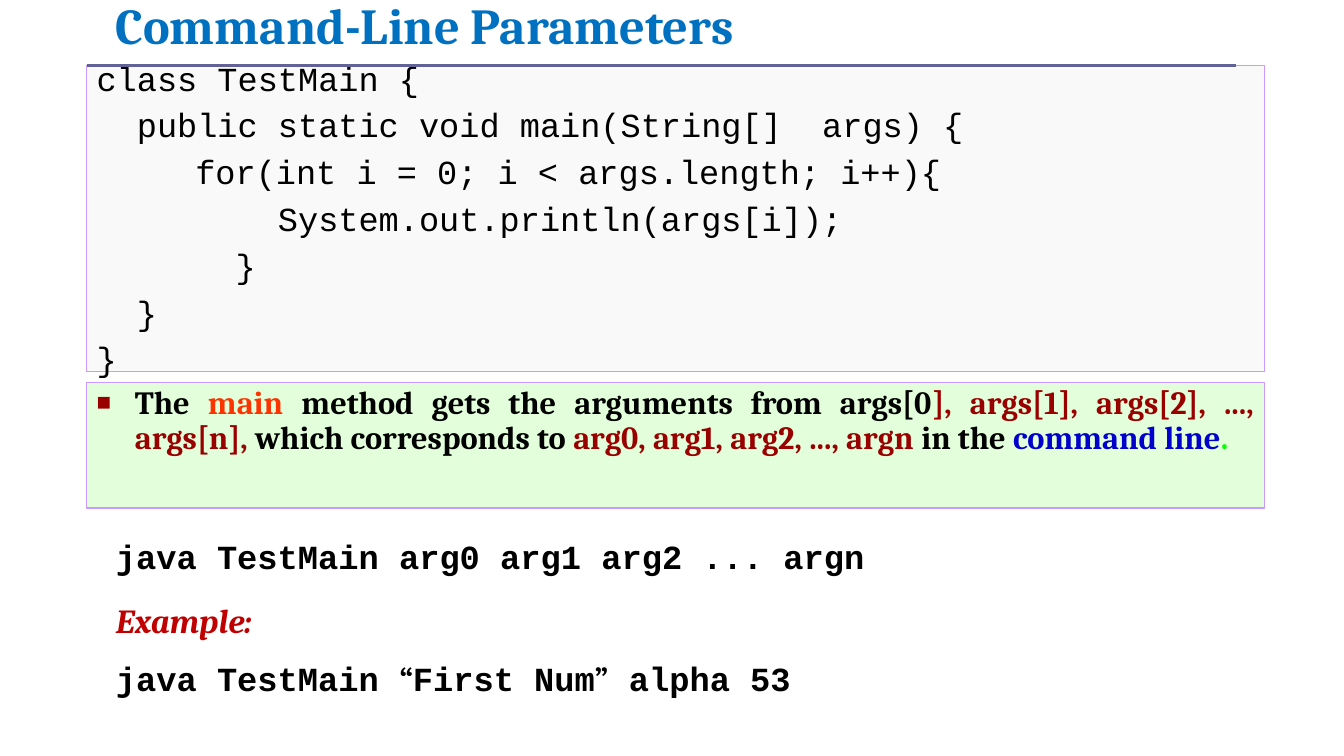
from dataclasses import dataclass
from lxml import etree
from pptx import Presentation
from pptx.dml.color import RGBColor
from pptx.enum.shapes import MSO_CONNECTOR, MSO_SHAPE
from pptx.enum.text import MSO_ANCHOR, MSO_AUTO_SIZE, PP_ALIGN
from pptx.oxml.ns import qn
from pptx.util import Emu, Pt

RECTANGLE = MSO_SHAPE.RECTANGLE
STRAIGHT = MSO_CONNECTOR.STRAIGHT
TOP, MIDDLE = MSO_ANCHOR.TOP, MSO_ANCHOR.MIDDLE
LEFT, JUSTIFY = PP_ALIGN.LEFT, PP_ALIGN.JUSTIFY
NO_AUTOFIT = MSO_AUTO_SIZE.NONE

PX = 9144  # 100 px to the inch
INDENT = 38
SERIF, MONO = "Cambria", "Courier New"
COLOURS = {
    "title": "0070C0", "black": "000000", "example": "C00000",
    "keyword": "FF3300", "argument": "990000", "command": "0000CC",
    "stop": "00FF00", "code_fill": "F2F2F2", "note_fill": "E2FEDA",
    "border": "CC99FF", "rule": "626297",
}


@dataclass(frozen=True)
class Span:
    text: str
    colour: str = "black"
    font: str = SERIF
    bold: bool = True
    italic: bool = False


@dataclass(frozen=True)
class Para:
    spans: tuple[Span, ...]
    size: float
    spacing: float
    before: float = 0
    indent: int = INDENT
    align: PP_ALIGN = LEFT
    bullet: str = ""


@dataclass(frozen=True)
class Box:
    left: int
    top: int
    width: int
    height: int
    paras: tuple[Para, ...]
    anchor: MSO_ANCHOR = TOP
    fill: str = ""
    opacity: int = 100


CODE = (
    "class TestMain {",
    "  public static void main(String[]  args) {",
    "\t   for(int i = 0; i < args.length; i++){",
    "         System.out.println(args[i]);",
    "     \t}",
    "  }",
    "}",
)

TITLE = Box(105, -8, 923, 76, (
    Para((Span("Command-Line Parameters", "title"),), 36, 0.8, indent=0),
), MIDDLE)

COMMANDS = Box(105, 531, 1151, 177, (
    Para((Span("java TestMain arg0 arg1 arg2 ... argn", font=MONO),), 24.1, 0.9),
    Para((Span("Example:", "example", italic=True),), 24.1, 1.0, 16.2),
    Para((
        Span("java TestMain ", font=MONO),
        Span("“"),
        Span("First Num", font=MONO),
        Span("”"),
        Span(" alpha 53", font=MONO),
    ), 24.1, 0.9, 16.2),
))

LISTING = Box(86, 65, 1169, 304, tuple(
    Para((Span(line, font=MONO, bold=False),), 24, 0.64, 15 if row else 0)
    for row, line in enumerate(CODE)
), fill="code_fill", opacity=42)

NOTE = Box(86, 379, 1169, 125, (
    Para((
        Span("The "),
        Span("main ", "keyword"),
        Span("method gets the arguments from args[0"),
        Span("], args[1], args[2], ..., args[n], ", "argument"),
        Span("which corresponds to "),
        Span("arg0, arg1, arg2, ..., argn ", "argument"),
        Span("in the "),
        Span("command line", "command"),
        Span(".", "stop"),
    ), 23.1, 0.9, align=JUSTIFY, bullet="■"),
), fill="note_fill")


def colour(name: str) -> RGBColor:
    return RGBColor.from_string(COLOURS[name])


def add_marks(paragraph, para: Para) -> None:
    """Set the hanging indent, the bullet and one tab stop per inch."""
    properties = paragraph._p.get_or_add_pPr()
    properties.set("marL", str(para.indent * PX))
    properties.set("indent", str(-para.indent * PX))
    if para.bullet:
        tint = etree.SubElement(properties, qn("a:buClr"))
        etree.SubElement(tint, qn("a:srgbClr"), val=COLOURS["argument"])
        etree.SubElement(properties, qn("a:buSzPct"), val="75000")
        etree.SubElement(properties, qn("a:buFont"), typeface="Arial")
        etree.SubElement(properties, qn("a:buChar"), char=para.bullet)
    else:
        etree.SubElement(properties, qn("a:buNone"))
    stops = etree.SubElement(properties, qn("a:tabLst"))
    for inch in range(8):
        etree.SubElement(stops, qn("a:tab"), pos=str(inch * 100 * PX), algn="l")


def write_paras(shape, box: Box) -> None:
    frame = shape.text_frame
    frame.word_wrap = True
    frame.auto_size = NO_AUTOFIT
    frame.vertical_anchor = box.anchor
    frame.margin_left = frame.margin_right = Emu(10 * PX)
    frame.margin_top = frame.margin_bottom = Emu(5 * PX)
    for index, para in enumerate(box.paras):
        paragraph = frame.add_paragraph() if index else frame.paragraphs[0]
        add_marks(paragraph, para)
        paragraph.alignment = para.align
        paragraph.line_spacing = para.spacing
        paragraph.space_before = Pt(para.before)
        paragraph.space_after = Pt(0)
        for span in para.spans:
            run = paragraph.add_run()
            run.text = span.text
            run.font.name = span.font
            run.font.size = Pt(para.size)
            run.font.bold = span.bold
            run.font.italic = span.italic
            run.font.color.rgb = colour(span.colour)


def fill_placeholder(shape, box: Box) -> None:
    shape.left, shape.top = Emu(box.left * PX), Emu(box.top * PX)
    shape.width, shape.height = Emu(box.width * PX), Emu(box.height * PX)
    write_paras(shape, box)


def add_panel(page, box: Box) -> None:
    sides = (box.left, box.top, box.width, box.height)
    shape = page.shapes.add_shape(RECTANGLE, *(Emu(side * PX) for side in sides))
    shape.shadow.inherit = False
    shape.fill.solid()
    shape.fill.fore_color.rgb = colour(box.fill)
    if box.opacity < 100:
        tint = shape._element.spPr.find(qn("a:solidFill"))[0]
        etree.SubElement(tint, qn("a:alpha"), val=str(box.opacity * 1000))
    shape.line.color.rgb = colour("border")
    shape.line.width = Pt(0.75)
    write_paras(shape, box)


def add_rule(page, left: int, right: int, top: int) -> None:
    ends = (left, top, right, top)
    rule = page.shapes.add_connector(STRAIGHT, *(Emu(end * PX) for end in ends))
    rule.line.color.rgb = colour("rule")
    rule.line.width = Pt(2.5)
    etree.SubElement(rule._element.spPr, qn("a:effectLst"))


def main() -> None:
    deck = Presentation()
    deck.slide_width, deck.slide_height = Emu(1334 * PX), Emu(750 * PX)
    page = deck.slides.add_slide(deck.slide_layouts[1])

    # Title and command examples
    fill_placeholder(page.shapes.title, TITLE)
    fill_placeholder(page.placeholders[1], COMMANDS)

    # Code listing and explanation
    for panel in (LISTING, NOTE):
        add_panel(page, panel)

    # Rule under the title
    add_rule(page, 86, 1227, 65)
    deck.save("out.pptx")


if __name__ == "__main__":
    main()
